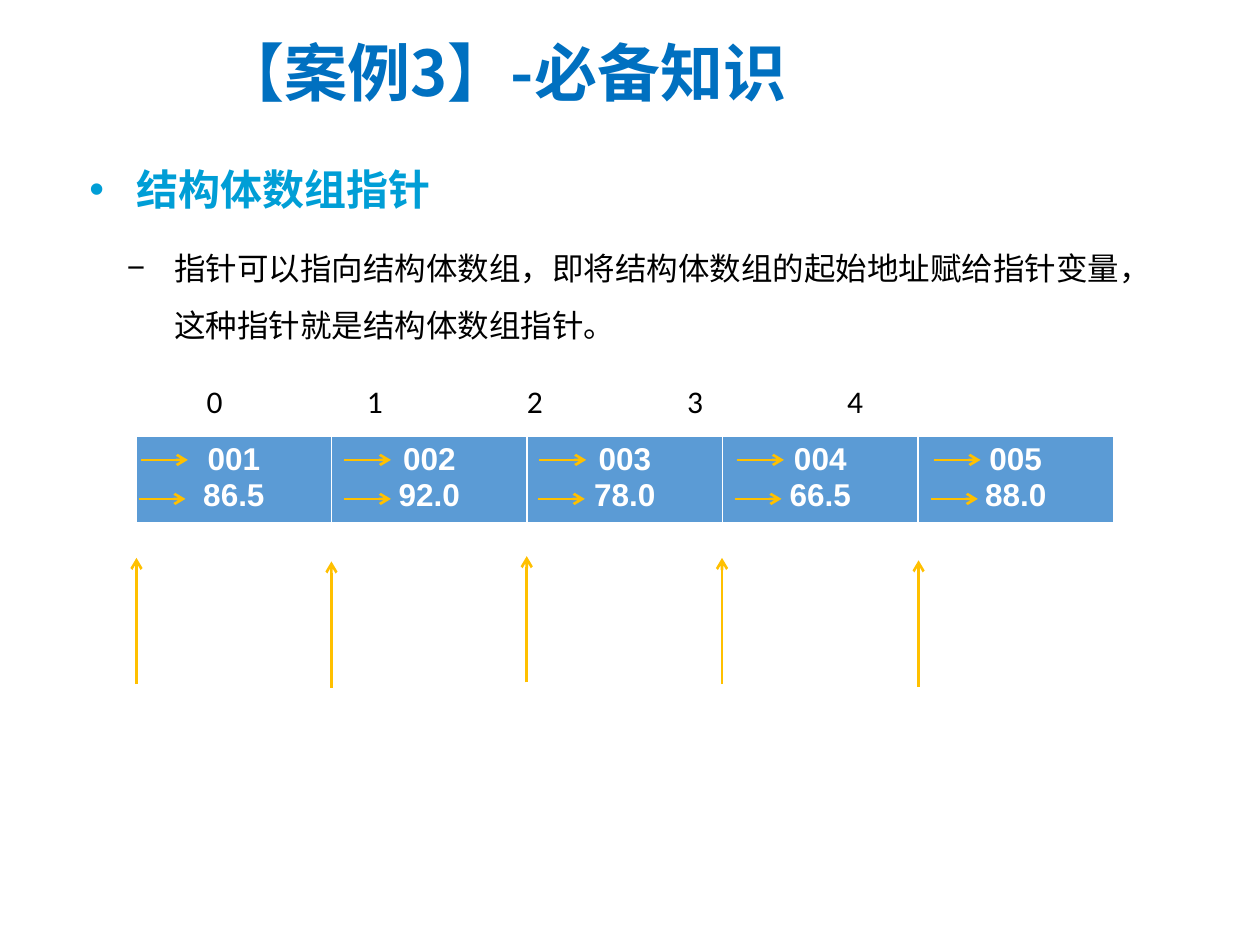
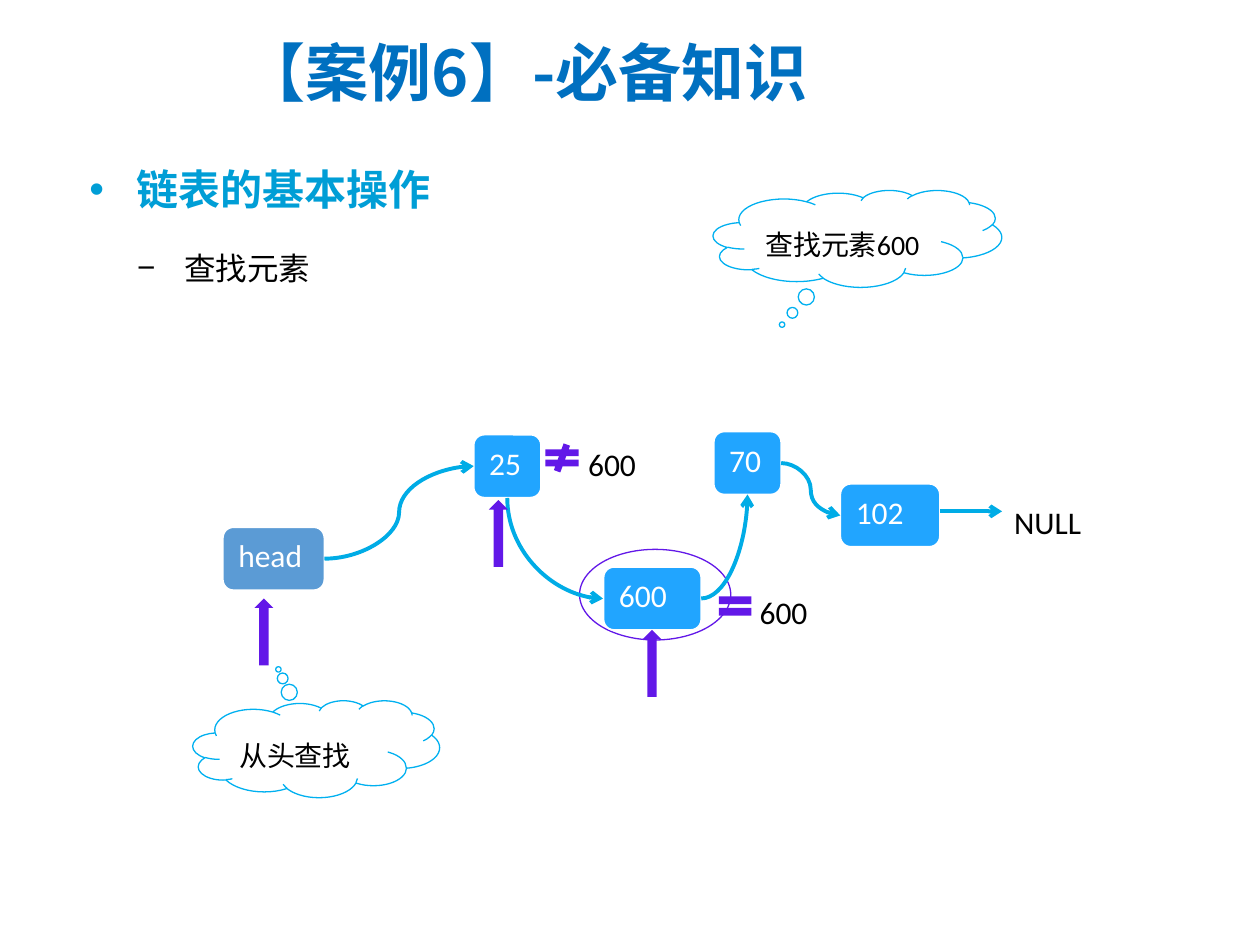
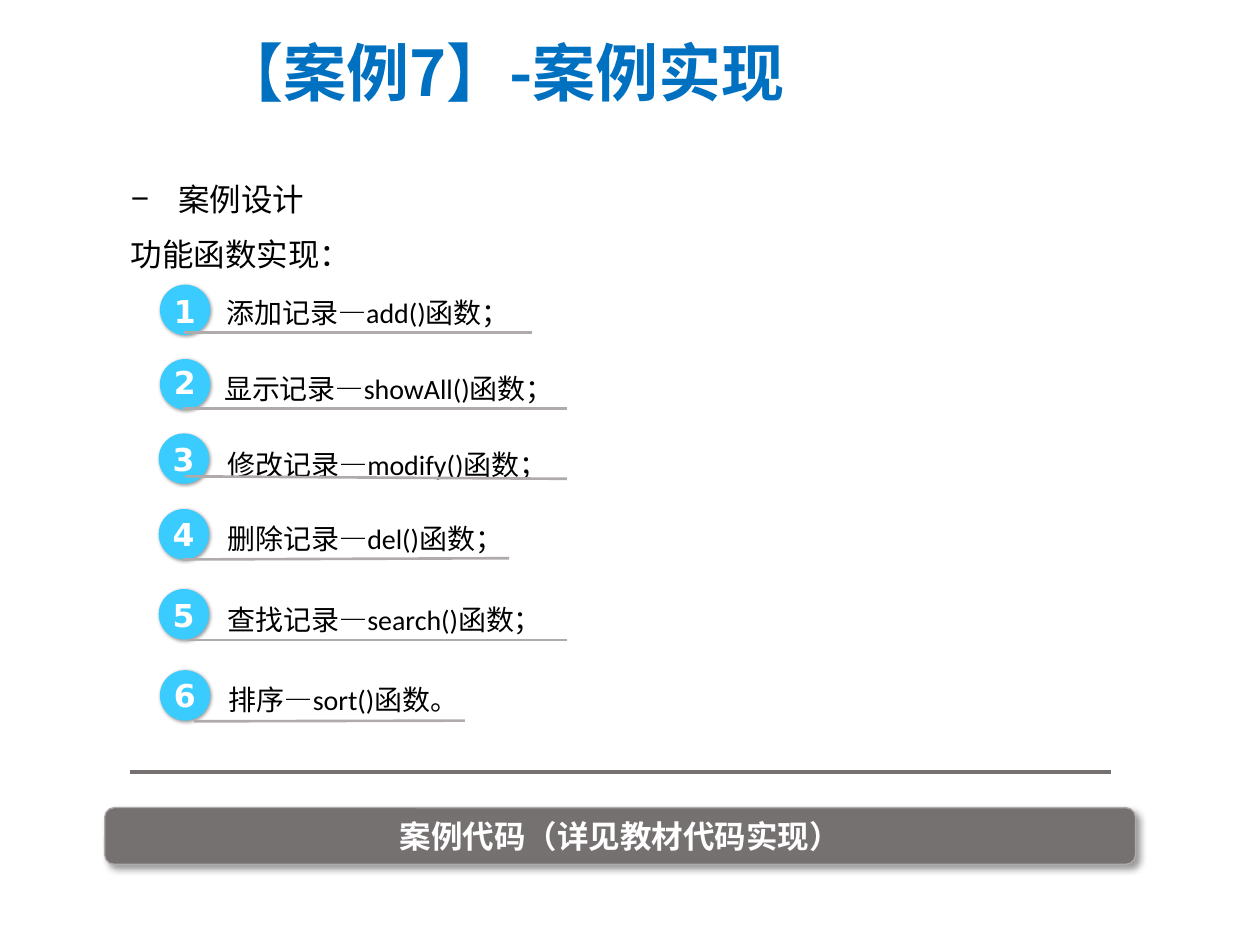
from lxml import etree
from pptx import Presentation
from pptx.dml.color import RGBColor
from pptx.enum import shapes as es, text as et
from pptx.oxml import ns
from pptx.util import Pt

hue = RGBColor.from_string
SHAPE, WIRE = es.MSO_SHAPE, es.MSO_CONNECTOR
TOP, MID = et.MSO_ANCHOR.TOP, et.MSO_ANCHOR.MIDDLE
LEFT, MIDST = et.PP_ALIGN.LEFT, et.PP_ALIGN.CENTER
CJK = "Noto Sans CJK SC"
BLACK, WHITE, TITLE, HEAD = "000000", "FFFFFF", "0070C0", "009ED6"
STEEL, BLUE, CYAN, DISC = "5B9BD5", "21A5FF", "00ACE6", "3BCCFF"
GOLD, PLUM, GREY, RULE = "FFC000", "6218E8", "767171", "AFABAB"


def draw(page, kind, box, fill=None, edge=None, width=0.75, shade=None):
    """Add a preset shape, or a text box when kind is None."""
    spot = [Pt(n) for n in box]
    if kind is None:
        return page.shapes.add_textbox(*spot)
    item = page.shapes.add_shape(kind, *spot)
    item.shadow.inherit = False
    item.fill.solid()
    item.fill.fore_color.rgb = hue(fill)
    if edge:
        item.line.color.rgb = hue(edge)
        item.line.width = Pt(width)
    else:
        item.line.fill.background()
    if shade:
        blur, dist = shade
        glow = etree.SubElement(
            item.element.spPr.find(ns.qn("a:effectLst")), ns.qn("a:outerShdw"),
            blurRad=str(Pt(blur)), dist=str(Pt(dist)), dir="2700000",
            algn="tl", rotWithShape="0")
        tint = etree.SubElement(glow, ns.qn("a:srgbClr"), val=BLACK)
        etree.SubElement(tint, ns.qn("a:alpha"), val="40000")
    return item


def write(item, words, size, tone=BLACK, face="Calibri", bold=False, lead=1.0,
          above=0, below=0, hang=0, mark=None, wrap=True, align=LEFT, anchor=TOP):
    """Set the words of a shape or cell and format all its runs."""
    frame = item.text_frame
    frame.text = words
    frame.word_wrap = wrap
    frame.vertical_anchor = anchor
    for para in frame.paragraphs:
        para.alignment = align
        para.line_spacing = lead
        para.space_before, para.space_after = Pt(above), Pt(below)
        props = para._p.get_or_add_pPr()
        if hang:
            props.set("marL", str(Pt(hang)))
            props.set("indent", str(-Pt(hang)))
        if mark:
            etree.SubElement(props, ns.qn("a:buFont"), typeface="Arial")
            etree.SubElement(props, ns.qn("a:buChar"), char=mark)
        for run in para.runs:
            font = run.font
            font.size, font.bold, font.name = Pt(size), bold, face
            font.color.rgb = hue(tone)
            east = etree.SubElement(font._element, ns.qn("a:ea"))
            east.set("typeface", CJK)


deck = Presentation()
deck.slide_width, deck.slide_height = Pt(720), Pt(540)
lines = []  # (connector, colour, width, arrow), styled at the end

# Titles, headings and dashed points of all slides
pages = []
for title, left, width, head, point, spot, face in [
    ("【案例3】-必备知识", 119.5, 405.5, "结构体数组指针",
     "指针可以指向结构体数组，即将结构体数组的起始地址赋给指针变量，这种指针就是结构体数组指针。",
     (65.5, 128, 600.5, 68.5), "Calibri"),
    ("【案例6】-必备知识", 131.75, 405.5, "链表的基本操作", "查找元素",
     (71.3, 128, 185, 36), "Calibri"),
    ("【案例7】-案例实现", 118.8, 366.5, None, "案例设计",
     (67.7, 88.5, 612.7, 34.5), "Arial"),
]:
    page = deck.slides.add_slide(deck.slide_layouts[6])
    pages.append(page)
    write(draw(page, None, (left, 10.8, width, 60.5)), title, 36, TITLE, CJK,
          True, hang=44.6, anchor=MID)
    if head:
        write(draw(page, None, (44, 75.6, 212.4, 51)), head, 24, HEAD,
              bold=True, lead=1.5, above=4.8, hang=27, mark="•")
    write(draw(page, None, spot), point, 18, face=face, lead=1.5, above=3.6,
          hang=27, mark="−")
array, chain, plan = pages

# Slide 1: table of records
marks = [("001", "86.5"), ("002", "92.0"), ("003", "78.0"),
         ("004", "66.5"), ("005", "88.0")]
grid = array.shapes.add_table(1, len(marks), Pt(77.8), Pt(249.1),
                              Pt(558.5), Pt(50.2)).table
for col, pair in enumerate(marks):
    grid.columns[col].width = Pt(111.7)
    cell = grid.cell(0, col)
    write(cell, "\n".join(pair), 18, WHITE, "Arial", True, align=MIDST)
    props = cell._tc.get_or_add_tcPr()
    for side, thick in [("lnL", 1), ("lnR", 1), ("lnT", 1), ("lnB", 3)]:
        edge = etree.SubElement(props, ns.qn("a:" + side), w=str(Pt(thick)))
        paint = etree.SubElement(edge, ns.qn("a:solidFill"))
        etree.SubElement(paint, ns.qn("a:srgbClr"), val=WHITE)
    cell.fill.solid()
    cell.fill.fore_color.rgb = hue(STEEL)

# Slide 1: index row on tab stops
label = draw(array, None, (75, 203.8, 558.5, 40.3))
write(label, "".join(f"\t{n}" for n in range(5)), 18, lead=1.5)
props = label.text_frame.paragraphs[0]._p.get_or_add_pPr()
tabs = etree.SubElement(props, ns.qn("a:tabLst"))
for n in range(5):
    etree.SubElement(tabs, ns.qn("a:tab"), pos=str(Pt(36 + 91.5 * n)), algn="l")

# Slide 1: arrows to the members and to the start of each record
for upper, lower, base, foot in [
    (80.6, 79.2, 78, 391), (196.6, 196.6, 189.4, 393),
    (308.2, 307.4, 301, 390), (421.2, 419.8, 412.6, 391),
    (533.5, 532, 524.9, 392.4),
]:
    for ends in [(upper, 262.8, upper + 26.8, 262.8),
                 (lower, 285.1, lower + 26.8, 285.1),
                 (base, foot, base, foot - 72.2)]:
        wire = array.shapes.add_connector(WIRE.STRAIGHT, *map(Pt, ends))
        lines.append((wire, GOLD, 1.5, True))

# Slide 2: ring and nodes
draw(chain, SHAPE.OVAL, (331.2, 313.9, 86.4, 51.8), WHITE, PLUM)
nodes = {}
for name, left, top, width, fill in [
    ("head", 127.4, 301.3, 58, STEEL), ("25", 270.7, 248.4, 38.5, BLUE),
    ("70", 407.9, 246.6, 38.5, BLUE), ("600", 344.9, 324, 55.8, BLUE),
    ("102", 480.2, 276.5, 56.9, BLUE),
]:
    nodes[name] = draw(chain, SHAPE.ROUNDED_RECTANGLE, (left, top, width, 36),
                       fill, WHITE, 1)
    write(nodes[name], name, 18, WHITE)

# Slide 2: links between nodes
for start, port, stop, dock in [("head", 3, "25", 1), ("600", 3, "70", 2),
                                ("70", 3, "102", 1)]:
    wire = chain.shapes.add_connector(WIRE.CURVE, 0, 0, 0, 0)
    wire.begin_connect(nodes[start], port)
    wire.end_connect(nodes[stop], dock)
    lines.append((wire, CYAN, 2.25, True))
    if dock == 2:
        wire._element.spPr.find(ns.qn("a:prstGeom")).set("prst", "curvedConnector2")
drop = chain.shapes.add_connector(WIRE.CURVE, Pt(346), Pt(286), Pt(288.5), Pt(340.7))
drop._element.spPr.find(ns.qn("a:prstGeom")).set("prst", "curvedConnector2")
drop._element.spPr.find(ns.qn("a:xfrm")).set("rot", "16200000")
last = chain.shapes.add_connector(WIRE.STRAIGHT, Pt(537.1), Pt(292.2), Pt(572.6), Pt(292.2))
lines += [(drop, CYAN, 2.25, True), (last, CYAN, 2.25, True)]

# Slide 2: clouds
for words, box, tail in [
    ("查找元素600", (407.5, 108.7, 164.9, 55.4), (-0.261, 0.887)),
    ("从头查找", (110.2, 400.3, 141, 55.4), (-0.153, -0.821)),
]:
    cloud = draw(chain, SHAPE.CLOUD_CALLOUT, box, WHITE, "00B0F0")
    cloud.adjustments[0], cloud.adjustments[1] = tail
    write(cloud, words, 16, lead=1.5, anchor=MID)

# Slide 2: pointers, signs and labels
for left, top in [(145.4, 342), (279.4, 285.8), (367.2, 360)]:
    draw(chain, SHAPE.UP_ARROW, (left, top, 10.8, 38.2), PLUM)
draw(chain, SHAPE.MATH_NOT_EQUAL, (308.2, 253.4, 25.9, 16.6), PLUM)
draw(chain, SHAPE.MATH_EQUAL, (407.5, 337, 25.2, 18.7), PLUM)
for words, left, top, width in [("NULL", 572.4, 272.9, 67), ("600", 329, 239.8, 52),
                                ("600", 427, 324.7, 52)]:
    write(draw(chain, None, (left, top, width, 40.3)), words, 18,
          lead=1.5, above=3.6)

# Slide 3: intro and bar
write(draw(plan, None, (67.7, 120.2, 331.2, 34.5)), "功能函数实现：", 18,
      face="Arial", lead=1.5, above=3.6)
bar = draw(plan, SHAPE.ROUNDED_RECTANGLE, (59.8, 461.5, 589, 32.4), GREY, RULE,
           shade=(4, 3))
write(bar, "案例代码（详见教材代码实现）", 18, WHITE, bold=True, align=MIDST, anchor=MID)
wire = plan.shapes.add_connector(WIRE.STRAIGHT, Pt(74.2), Pt(441.4), Pt(635), Pt(441.4))
lines.append((wire, GREY, 2.25, False))

# Slide 3: numbered functions
for num, (words, left, top, digit, start, high, width, ends) in enumerate([
    ("添加记录—add()函数；", 91.4, 162.7, 163.4, 122.4, 159.8, 181.4, (105, 190.2, 304, 190.2)),
    ("显示记录—showAll()函数；", 91.4, 205.2, 203.8, 121, 203, 210.2, (104.4, 233.3, 324, 233.3)),
    ("修改记录—modify()函数；", 90.7, 247.7, 247.7, 123, 246.2, 202.3, (105.8, 272.2, 324, 273.6)),
    ("删除记录—del()函数；", 90.7, 290.9, 290.9, 123, 288.7, 176.4, (104.4, 319.7, 291, 319)),
    ("查找记录—search()函数；", 90.7, 336.6, 337, 123, 334.8, 203, (106.6, 365.8, 324, 365.8)),
    ("排序—sort()函数。", 91.4, 383, 383, 123.8, 380.9, 149, (111, 412.2, 265.7, 411.8)),
], 1):
    draw(plan, SHAPE.OVAL, (left, top, 28.8, 28.8), DISC, shade=(2, 1))
    write(draw(plan, None, (left + 0.8, digit, 27.4, 28.8)), str(num), 18, WHITE,
          "DejaVu Sans", True, wrap=False)
    write(draw(plan, None, (start, high, width, 32.4)), words, 16, lead=1.3,
          below=3, wrap=False)
    wire = plan.shapes.add_connector(WIRE.STRAIGHT, *map(Pt, ends))
    lines.append((wire, RULE, 1.5, False))

# Line styles
for wire, tone, width, arrow in lines:
    wire.line.color.rgb = hue(tone)
    wire.line.width = Pt(width)
    if arrow:
        etree.SubElement(wire.line._get_or_add_ln(), ns.qn("a:tailEnd"), type="arrow")
    etree.SubElement(wire._element.spPr, ns.qn("a:effectLst"))

deck.save("out.pptx")
